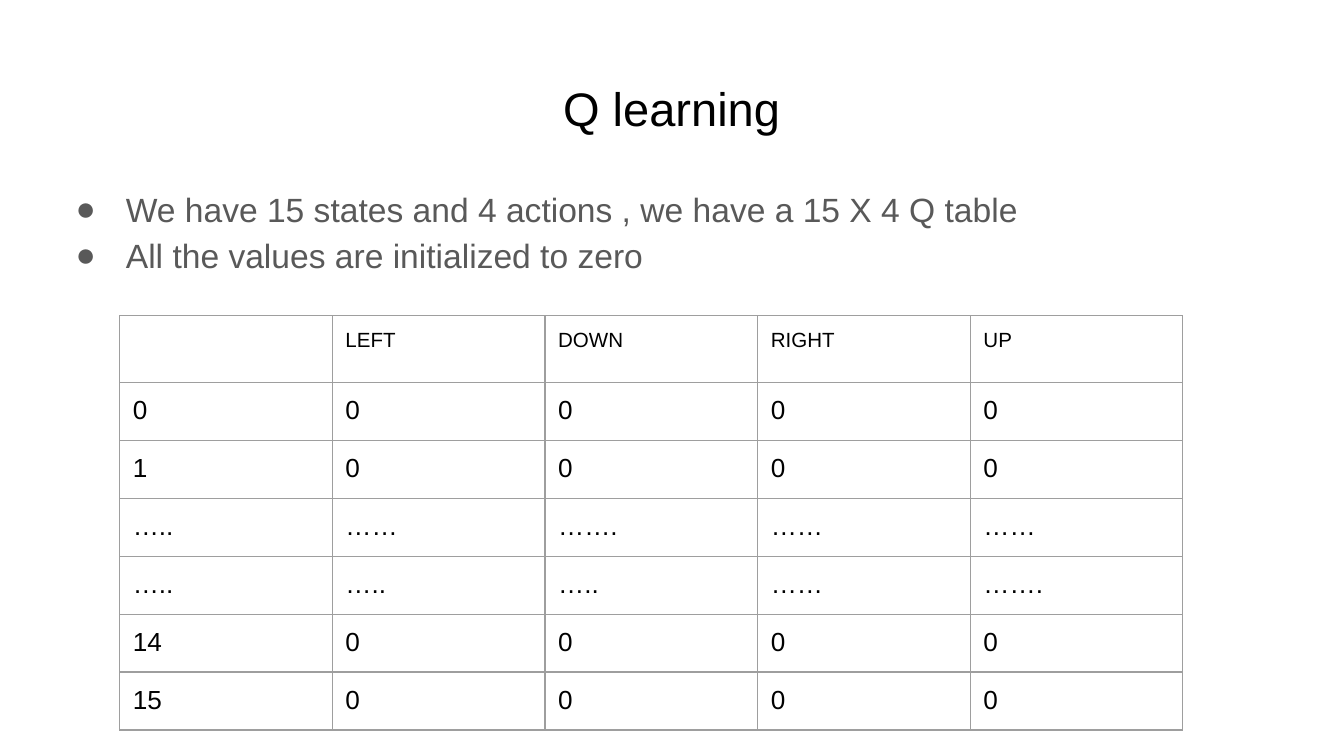
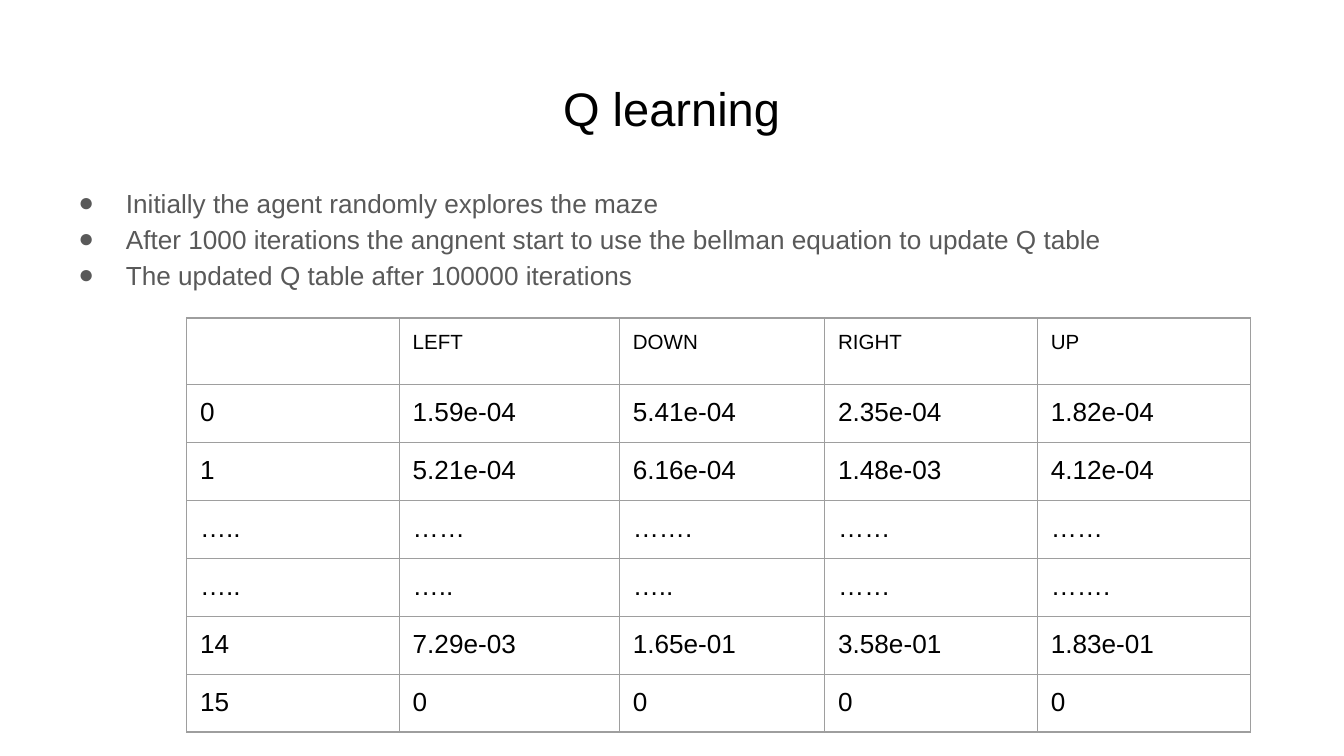
from lxml.etree import SubElement
from pptx import Presentation
from pptx.dml.color import RGBColor
from pptx.enum.text import MSO_ANCHOR as Anchor, PP_ALIGN as Align
from pptx.oxml.ns import qn
from pptx.util import Cm, Pt

HEADER = ["", "LEFT", "DOWN", "RIGHT", "UP"]
GAPS = [
    ["…..", "……", "…….", "……", "……"],
    ["…..", "…..", "…..", "……", "……."],
]


def rgb(value):
    return RGBColor.from_string(value)


def q_rows(first, second, last):
    return [
        HEADER,
        ["0", *first],
        ["1", *second],
        *GAPS,
        ["14", *last],
        ["15", *["0"] * 4],
    ]


class Deck:
    font = "Arial"
    black, gray, border, white = "000000", "595959", "9E9E9E", "FFFFFF"
    inset = Cm(0.25)
    left, width = 0.86, 23.67

    def __init__(self):
        self.prs = Presentation()
        self.prs.slide_width = Cm(25.4)
        self.prs.slide_height = Cm(14.29)
        self.s = None

    def slide(self):
        self.s = self.prs.slides.add_slide(self.prs.slide_layouts[6])
        self.s.background.fill.solid()
        self.s.background.fill.fore_color.rgb = rgb(self.white)

    def pad(self, target):
        target.margin_left = target.margin_right = self.inset
        target.margin_top = target.margin_bottom = self.inset

    def run(self, p, text, size, color):
        r = p.add_run()
        r.text = text
        r.font.size = Pt(size)
        r.font.name = self.font
        r.font.color.rgb = rgb(color)
        return r

    def box(self, top, height, anchor):
        sp = self.s.shapes.add_textbox(
            Cm(self.left), Cm(top), Cm(self.width), Cm(height))
        tf = sp.text_frame
        tf.word_wrap = True
        tf.vertical_anchor = anchor
        self.pad(tf)
        return tf

    def title(self, text):
        p = self.box(1.24, 1.6, Anchor.MIDDLE).paragraphs[0]
        p.alignment = Align.CENTER
        self.run(p, text, 25.2, self.black)

    def bullets(self, lines, size, hang):
        tf = self.box(3.2, 9.5, Anchor.TOP)
        for i, line in enumerate(lines):
            p = tf.add_paragraph() if i else tf.paragraphs[0]
            p.line_spacing = 1.15
            pPr = p._p.get_or_add_pPr()
            pPr.set("marL", str(Cm(1.27)))
            pPr.set("indent", str(-Cm(hang)))
            color = SubElement(pPr, qn("a:buClr"))
            SubElement(color, qn("a:srgbClr"), val=self.gray)
            SubElement(pPr, qn("a:buFont"), typeface=self.font)
            SubElement(pPr, qn("a:buChar"), char="●")
            self.run(p, line, size, self.gray)

    def highlight(self, r):
        fill = r._r.rPr.find(qn("a:solidFill"))
        mark = SubElement(r._r.rPr, qn("a:highlight"))
        SubElement(mark, qn("a:srgbClr"), val=self.white)
        fill.addnext(mark)

    def borders(self, cell):
        tcPr = cell._tc.get_or_add_tcPr()
        for side in ("lnL", "lnR", "lnT", "lnB"):
            ln = SubElement(tcPr, qn(f"a:{side}"), w=str(Pt(0.75)))
            fill = SubElement(ln, qn("a:solidFill"))
            SubElement(fill, qn("a:srgbClr"), val=self.border)

    def table(self, rows, left, top, widths, row_height):
        table = self.s.shapes.add_table(
            len(rows), len(widths), Cm(left), Cm(top),
            Cm(sum(widths)), Cm(row_height * len(rows))).table
        table.first_row = table.horz_banding = False
        for col, width in zip(table.columns, widths):
            col.width = Cm(width)
        for i, row in enumerate(rows):
            table.rows[i].height = Cm(row_height)
            for j, text in enumerate(row):
                cell = table.cell(i, j)
                self.pad(cell)
                self.borders(cell)
                cell.fill.background()
                if text:
                    p = cell.text_frame.paragraphs[0]
                    r = self.run(p, text, 14 if i else 11, self.black)
                    if i == 0:
                        self.highlight(r)


def main():
    deck = Deck()

    deck.slide()
    deck.title("Q learning")
    deck.bullets([
        "We have 15 states and 4 actions , we have a 15 X 4 Q table",
        "All the values are initialized to zero",
    ], size=18, hang=0.95)
    zeros = ["0"] * 4
    deck.table(q_rows(zeros, zeros, zeros), 2.26, 5.97, [4.02] * 5, 1.06)

    deck.slide()
    deck.title("Q learning")
    deck.bullets([
        "Initially the agent randomly explores the maze",
        "After 1000 iterations the angnent start to use the bellman equation to update Q table",
        "The updated Q table after 100000 iterations",
    ], size=14, hang=0.9)
    deck.table(q_rows(
        ["1.59e-04", "5.41e-04", "2.35e-04", "1.82e-04"],
        ["5.21e-04", "6.16e-04", "1.48e-03", "4.12e-04"],
        ["7.29e-03", "1.65e-01", "3.58e-01", "1.83e-01"],
    ), 3.53, 6.01, [4.02, 4.16, 3.88, 4.02, 4.02], 1.09)

    deck.prs.save("out.pptx")


if __name__ == "__main__":
    main()
